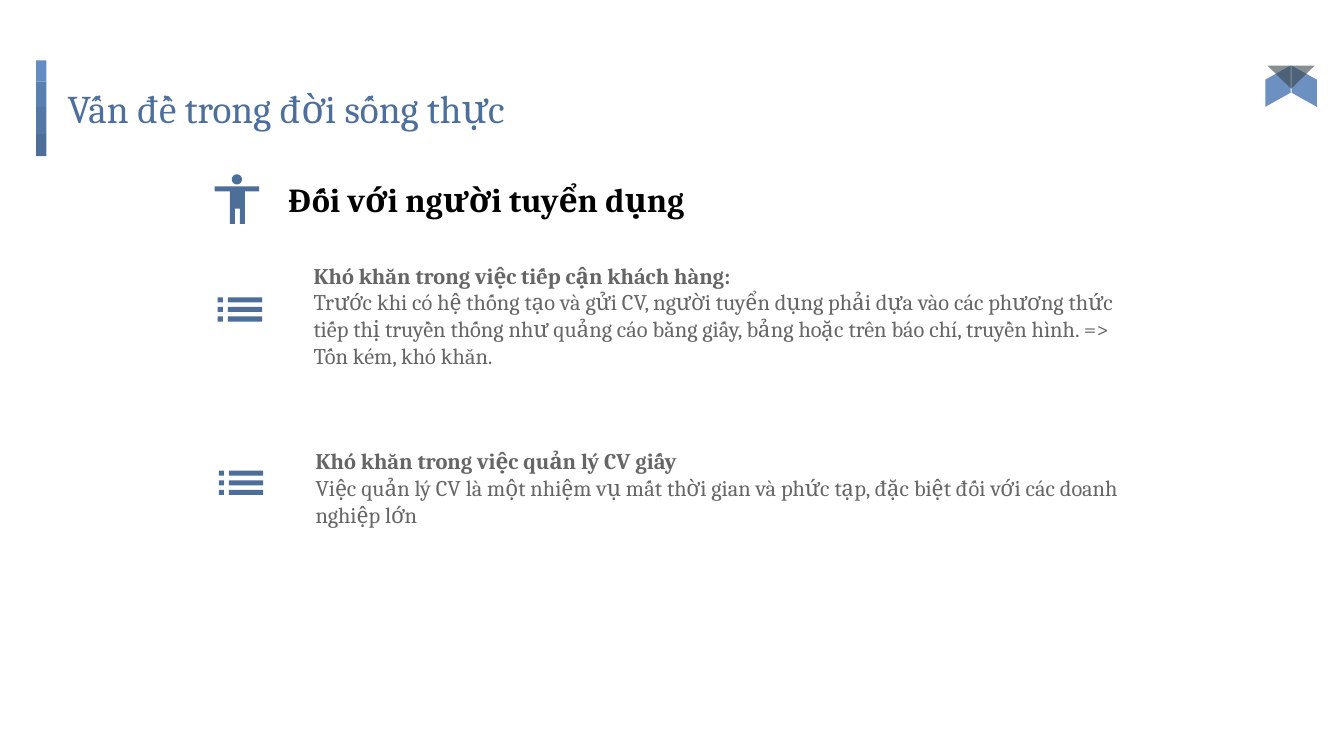
import math
from dataclasses import dataclass

import pptx
import pptx.dml.color
import pptx.enum.shapes
import pptx.enum.text
import pptx.oxml
import pptx.oxml.ns
import pptx.util

Inches = pptx.util.Inches
SHAPE = pptx.enum.shapes.MSO_SHAPE
FONT = "Cambria"
ICON = "4E6E9A"
Point = tuple[float, float]


@dataclass
class Bar:
    height: float
    color: str


@dataclass
class Fold:
    kind: SHAPE
    box: tuple[float, float, float, float]
    rotation: int
    adjust: float
    color: str
    alpha: int
    flip: bool = False


@dataclass
class Problem:
    left: float
    top: float
    icon: Point
    heading: str
    body: str


BARS = [Bar(0.21, "648DC6"), Bar(0.25, "5A7FB3"),
        Bar(0.27, "5477A7"), Bar(0.22, "4E6E9A")]

FOLDS = [
    Fold(SHAPE.PARALLELOGRAM, (12.73, 0.73, 0.41, 0.25), 90, 0.56, "5E85B9", 91),
    Fold(SHAPE.PARALLELOGRAM, (12.47, 0.73, 0.41, 0.25), 90, 0.56, "5E85B9", 91, True),
    Fold(SHAPE.ISOSCELES_TRIANGLE, (12.57, 0.65, 0.47, 0.23), 180, 0.5, "38444A", 60),
]

PROBLEMS = [
    Problem(2.98, 2.73, (2.16, 2.95), "Khó khăn trong việc tiếp cận khách hàng:",
            "Trước khi có hệ thống tạo và gửi CV, người tuyển dụng phải dựa vào các "
            "phương thức tiếp thị truyền thống như quảng cáo bằng giấy, bảng hoặc trên "
            "báo chí, truyền hình. => Tốn kém, khó khăn."),
    Problem(3, 4.44, (2.17, 4.67), "Khó khăn trong việc quản lý CV giấy",
            "Việc quản lý CV là một nhiệm vụ mất thời gian và phức tạp, đặc biệt đối "
            "với các doanh nghiệp lớn"),
]


def rgb(color: str) -> pptx.dml.color.RGBColor:
    return pptx.dml.color.RGBColor.from_string(color)


def paint(sp, color: str, alpha: int = 100) -> None:
    sp.shadow.inherit = False
    sp.line.fill.background()
    sp.fill.solid()
    sp.fill.fore_color.rgb = rgb(color)
    if alpha < 100:
        clr = sp.element.spPr.find(".//" + pptx.oxml.ns.qn("a:srgbClr"))
        clr.append(pptx.oxml.parse_xml(
            f'<a:alpha {pptx.oxml.ns.nsdecls("a")} val="{alpha * 1000}"/>'))


def add_preset(s, kind: SHAPE, box: tuple[float, float, float, float],
               color: str, alpha: int = 100):
    sp = s.shapes.add_shape(kind, *map(Inches, box))
    paint(sp, color, alpha)
    return sp


def add_fold(s, fold: Fold) -> None:
    sp = add_preset(s, fold.kind, fold.box, fold.color, fold.alpha)
    sp.adjustments[0] = fold.adjust
    sp.rotation = fold.rotation
    if fold.flip:
        sp.element.spPr.find(pptx.oxml.ns.qn("a:xfrm")).set("flipH", "1")


def add_icon(s, outlines: list[list[Point]]) -> None:
    contours = [[(Inches(x), Inches(y)) for x, y in o] for o in outlines]
    fb = s.shapes.build_freeform(*contours[0][0])
    for i, contour in enumerate(contours):
        if i:
            fb.move_to(*contour[0])
        fb.add_line_segments(contour[1:], close=True)
    paint(fb.convert_to_shape(), ICON)


def rect(x: float, y: float, w: float, h: float) -> list[Point]:
    return [(x, y), (x + w, y), (x + w, y + h), (x, y + h)]


def add_list_icon(s, left: float, top: float) -> None:
    rows = [top + i * 0.095 for i in range(3)]
    add_icon(s, [rect(left + dx, y, w, 0.05)
                 for y in rows for dx, w in ((0, 0.05), (0.1, 0.34))])


def add_person_icon(s) -> None:
    turns = [2 * math.pi * i / 32 for i in range(32)]
    head = [(2.35 + 0.05 * math.cos(a), 1.78 + 0.05 * math.sin(a)) for a in turns]
    body = [(2.57, 1.9), (2.43, 1.9), (2.43, 2.22), (2.38, 2.22), (2.38, 2.07),
            (2.33, 2.07), (2.33, 2.22), (2.28, 2.22), (2.28, 1.9), (2.13, 1.9),
            (2.13, 1.85), (2.57, 1.85)]
    add_icon(s, [head, body])


def set_frame(tf) -> None:
    tf.word_wrap = True
    tf.auto_size = pptx.enum.text.MSO_AUTO_SIZE.NONE
    tf.vertical_anchor = pptx.enum.text.MSO_ANCHOR.MIDDLE
    tf.margin_left = tf.margin_right = tf.margin_top = tf.margin_bottom = Inches(0.13)


def add_run(p, text: str, size: int, color: str, bold: bool = False) -> None:
    p.alignment = pptx.enum.text.PP_ALIGN.LEFT
    r = p.add_run()
    r.text = text
    r.font.name = FONT
    r.font.size = pptx.util.Pt(size)
    r.font.bold = bold
    r.font.color.rgb = rgb(color)


def add_text(s, left: float, top: float, width: float, height: float):
    tf = s.shapes.add_textbox(*map(Inches, (left, top, width, height))).text_frame
    set_frame(tf)
    return tf


def main() -> None:
    prs = pptx.Presentation()
    prs.slide_width, prs.slide_height = Inches(13.33), Inches(7.5)
    s = prs.slides.add_slide(prs.slide_layouts[5])

    # Stacked bar beside the title
    top = 0.6
    for bar in BARS:
        add_preset(s, SHAPE.RECTANGLE, (0.36, top, 0.1, bar.height), bar.color)
        top += bar.height

    # Title
    title = s.shapes.title
    title.left, title.top = Inches(0.54), Inches(0.65)
    title.width, title.height = Inches(12.34), Inches(0.84)
    set_frame(title.text_frame)
    add_run(title.text_frame.paragraphs[0], "Vấn đề trong đời sống thực", 28, "4E6F9B")

    # Folded ribbon in the corner
    for fold in FOLDS:
        add_fold(s, fold)

    # Section heading
    add_person_icon(s)
    tf = add_text(s, 2.73, 1.73, 4.41, 0.49)
    add_run(tf.paragraphs[0], "Đối với người tuyển dụng", 24, "000000", True)

    # Problems
    for problem in PROBLEMS:
        tf = add_text(s, problem.left, problem.top, 8.34, 0.8)
        add_run(tf.paragraphs[0], problem.heading, 16, "666666", True)
        add_run(tf.add_paragraph(), problem.body, 16, "666666")
        add_list_icon(s, *problem.icon)

    prs.save("out.pptx")


if __name__ == "__main__":
    main()
